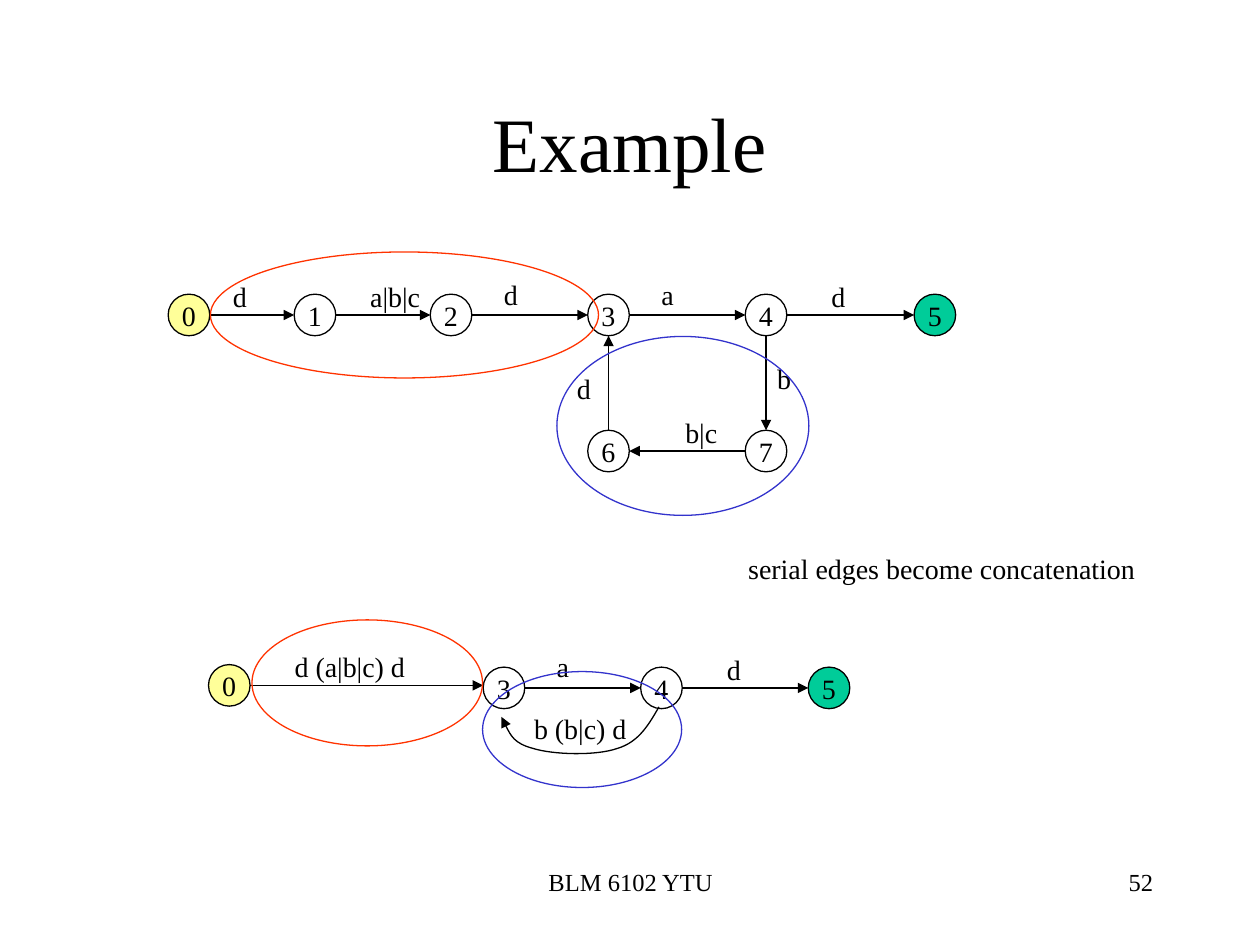
from lxml.etree import SubElement
from pptx import Presentation
from pptx.dml.color import RGBColor
from pptx.enum.shapes import MSO_CONNECTOR, MSO_SHAPE
from pptx.enum.text import MSO_ANCHOR, PP_ALIGN
from pptx.oxml.ns import qn
from pptx.util import Inches, Pt

COLORS = {"ink": "000000", "start": "FFFF99", "accept": "00CC99",
          "serial": "FF3300", "loop": "3333CC"}
FONT = "Times New Roman"
DIAMETER = 0.33
LABEL_HEIGHT = 0.37

FULL = {
    "box": (1.33, 2, 6.25, 2.09),
    "nodes": {"0": (0.17, 0.5), "1": (1.17, 0.5), "2": (2.25, 0.5), "3": (3.5, 0.5),
              "4": (4.75, 0.5), "5": (6.09, 0.5), "6": (3.5, 1.58), "7": (4.75, 1.58)},
    "edges": ["01", "12", "23", "34", "45", "47", "76", "63"],
    "labels": [("d", 0.42, 0.17, 0.4), ("a|b|c", 1.51, 0.17, 0.7),
               ("d", 2.57, 0.15, 0.4), ("a", 3.82, 0.15, 0.4),
               ("d", 5.17, 0.17, 0.4), ("d", 3.15, 0.9, 0.4),
               ("b", 4.74, 0.82, 0.4), ("b|c", 4.01, 1.25, 0.55)],
    "curve": [],
    "rings": [("serial", 0.34, 0, 3.08, 1), ("loop", 3.09, 0.67, 2, 1.42)],
}
REDUCED = {
    "box": (1.65, 4.92, 5.1, 1.33),
    "nodes": {"0": (0.17, 0.52), "3": (2.35, 0.54), "4": (3.6, 0.54), "5": (4.93, 0.54)},
    "edges": ["03", "34", "45"],
    "labels": [("d (a|b|c) d", 0.59, 0.19, 1.2), ("a", 2.67, 0.19, 0.4),
               ("d", 4.02, 0.21, 0.4), ("b (b|c) d", 2.49, 0.68, 1.05)],
    "curve": [(3.58, 0.69), (3.5, 0.83), (3.42, 0.97), (3.25, 1.02), (3.08, 1.08),
              (2.74, 1.07), (2.58, 1.02), (2.43, 0.98), (2.38, 0.88), (2.33, 0.77)],
    "rings": [("serial", 0.35, 0, 1.83, 1), ("loop", 2.18, 0.41, 1.58, 0.92)],
}


def color(name):
    """Return a palette colour."""
    return RGBColor.from_string(COLORS[name])


def inches(*values):
    """Convert numbers to lengths."""
    return [Inches(v) for v in values]


def write(sp, text, size=16, align=PP_ALIGN.LEFT, **frame):
    """Put one styled line of text in a shape."""
    tf = sp.text_frame
    for name, value in frame.items():
        setattr(tf, name, value)
    p = tf.paragraphs[0]
    p.alignment = align
    r = p.add_run()
    r.text = text
    for name, value in {"name": FONT, "size": Pt(size)}.items():
        setattr(r.font, name, value)
    r.font.color.rgb = color("ink")


def add_text(s, box, text, size=16, align=PP_ALIGN.LEFT, **frame):
    """Add a text box."""
    sp = s.shapes.add_textbox(*inches(*box))
    write(sp, text, size, align, word_wrap=True, **frame)


def add_label(s, text, left, top, width):
    """Add a one-line label."""
    add_text(s, (left, top, width, LABEL_HEIGHT), text)


def set_line(sp, name="ink", arrow=False):
    """Style a thin outline, with an arrowhead if asked."""
    sp.line.width = Pt(0.75)
    sp.line.color.rgb = color(name)
    if arrow:
        SubElement(sp.line._get_or_add_ln(), qn("a:tailEnd"), type="triangle")


def add_ellipse(s, box, line="ink", fill=None):
    """Add an ellipse, hollow unless a fill is given."""
    sp = s.shapes.add_shape(MSO_SHAPE.OVAL, *inches(*box))
    sp.shadow.inherit = False
    if fill:
        sp.fill.solid()
        sp.fill.fore_color.rgb = color(fill)
    else:
        sp.fill.background()
    set_line(sp, line)
    return sp


def add_node(s, name, x, y):
    """Add a numbered state centred on a point."""
    r = DIAMETER / 2
    fill = {"0": "start", "5": "accept"}.get(name)
    sp = add_ellipse(s, (x - r, y - r, DIAMETER, DIAMETER), fill=fill)
    write(sp, name, align=PP_ALIGN.CENTER, word_wrap=False,
          vertical_anchor=MSO_ANCHOR.MIDDLE)


def add_edge(s, start, end):
    """Add a horizontal or vertical arrow between the rims of two states."""
    (x1, y1), (x2, y2) = start, end
    r = DIAMETER / 2
    if abs(x2 - x1) > abs(y2 - y1):
        step = r if x2 > x1 else -r
        points = x1 + step, y1, x2 - step, y1
    else:
        step = r if y2 > y1 else -r
        points = x1, y1 + step, x1, y2 - step
    sp = s.shapes.add_connector(MSO_CONNECTOR.STRAIGHT, *inches(*points))
    set_line(sp, arrow=True)
    SubElement(sp._element.spPr, qn("a:effectLst"))


def add_curve(s, points):
    """Add a curved arrow through cubic Bézier points."""
    points = [inches(*point) for point in points]
    builder = s.shapes.build_freeform(*points[0])
    builder.add_line_segments(points[1:], close=False)
    sp = builder.convert_to_shape()
    segments = list(sp._element.iter(qn("a:lnTo")))
    outline = segments[0].getparent()
    for i in range(0, len(segments), 3):
        curve = SubElement(outline, qn("a:cubicBezTo"))
        for segment in segments[i:i + 3]:
            curve.append(segment[0])
            outline.remove(segment)
    sp.shadow.inherit = False
    sp.fill.background()
    set_line(sp, arrow=True)


def add_automaton(s, box, nodes, edges, labels, curve, rings):
    """Draw states, transitions and highlight rings inside a box."""
    left, top = box[:2]
    centers = {name: (left + x, top + y) for name, (x, y) in nodes.items()}
    for name, center in centers.items():
        add_node(s, name, *center)
    for start, end in edges:
        add_edge(s, centers[start], centers[end])
    if curve:
        add_curve(s, [(left + x, top + y) for x, y in curve])
    for text, x, y, width in labels:
        add_label(s, text, left + x, top + y, width)
    for name, x, y, width, height in rings:
        add_ellipse(s, (left + x, top + y, width, height), name)


def add_footer(s, left, top, height):
    """Add the course name and the page number."""
    add_text(s, (left, top, 3.17, height), "BLM 6102 YTU", 14, PP_ALIGN.CENTER)
    add_text(s, (left + 3.75, top, 2.08, height), "52", 14, PP_ALIGN.RIGHT)


def main():
    """Build and save the slide."""
    prs = Presentation()
    prs.slide_width, prs.slide_height = inches(10, 7.5)
    s = prs.slides.add_slide(prs.slide_layouts[6])
    add_footer(s, 3.42, 6.83, 0.5)
    add_text(s, (0.75, 0.5, 8.5, 1.25), "Example", 44, PP_ALIGN.CENTER,
             vertical_anchor=MSO_ANCHOR.MIDDLE)
    for automaton in (REDUCED, FULL):
        add_automaton(s, **automaton)
    add_label(s, "serial edges become concatenation", 5.84, 4.33, 3.5)
    prs.save("out.pptx")


if __name__ == "__main__":
    main()
